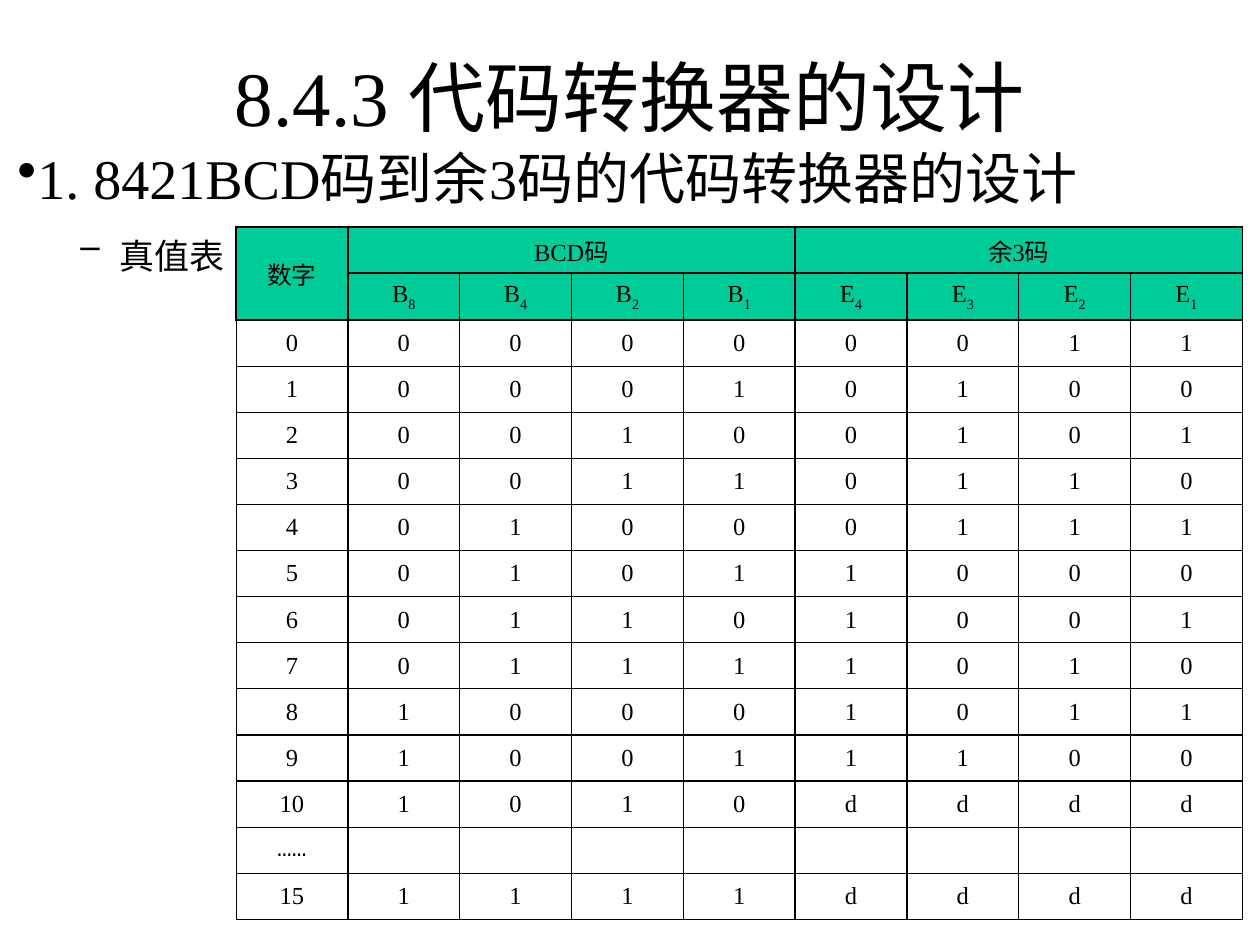
from dataclasses import dataclass

from lxml import etree
from pptx import Presentation
from pptx import util as u
from pptx.dml.color import RGBColor
from pptx.enum import text
from pptx.oxml.ns import qn

Pt = u.Pt


@dataclass
class Theme:
    ink: RGBColor = RGBColor(0, 0, 0)
    header: RGBColor = RGBColor(0x00, 0xCC, 0x99)
    font: str = "Times New Roman"
    dots_font: str = "Courier New"
    title: int = 44
    topic: int = 32
    item: int = 20
    item_gap: int = 28
    cell: int = 14
    thin: float = 0.75
    thick: float = 1


theme = Theme()


def add_run(p, words, size, font=theme.font):
    r = p.add_run()
    r.text = words
    r.font.size, r.font.name = Pt(size), font
    r.font.color.rgb = theme.ink
    return r


def set_border(cell, side, width):
    ln = etree.SubElement(cell._tc.get_or_add_tcPr(), qn(f"a:ln{side}"), w=str(Pt(width)))
    fill = etree.SubElement(ln, qn("a:solidFill"))
    etree.SubElement(fill, qn("a:srgbClr"), val=str(theme.ink))


prs = Presentation()
prs.slide_width, prs.slide_height = Pt(720), Pt(540)
s = prs.slides.add_slide(prs.slide_layouts[6])

# Title
tf = s.shapes.add_textbox(Pt(54), Pt(42.5), Pt(612), Pt(24)).text_frame
tf.word_wrap = True
tf.vertical_anchor = text.MSO_ANCHOR.MIDDLE
p = tf.paragraphs[0]
p.alignment = text.PP_ALIGN.CENTER
add_run(p, "8.4.3 代码转换器的设计", theme.title)

# Topic and its sub-item
tf = s.shapes.add_textbox(Pt(2.9), Pt(78.5), Pt(683), Pt(425.5)).text_frame
tf.word_wrap = True
topic, item = tf.paragraphs[0], tf.add_paragraph()
add_run(topic, "1. 8421BCD码到余3码的代码转换器的设计", theme.topic)
add_run(item, "真值表", theme.item)
add_run(item, " ", theme.item_gap)
item.level = 1
for p, bullet, margin, indent, before in ((topic, "•", 0, 0, 6.4), (item, "–", 58.5, -22.5, 5.6)):
    p.space_before = Pt(before)
    pPr = p._p.get_or_add_pPr()
    pPr.set("marL", str(Pt(margin)))
    pPr.set("indent", str(Pt(indent)))
    etree.SubElement(pPr, qn("a:buChar"), char=bullet)

# Truth table values: excess-3 is the BCD digit plus three
rows = [["数字", "BCD码", "", "", "", "余3码", "", "", ""],
        ["", "B8", "B4", "B2", "B1", "E4", "E3", "E2", "E1"]]
rows += [[str(n), *f"{n:04b}", *f"{n + 3:04b}"] for n in range(10)]
rows += [["10", *"1010", *"dddd"], ["……"] + [""] * 8, ["15", *"1111", *"dddd"]]

# Table grid
row_h, col_w = 26.35, 63.9
table = s.shapes.add_table(len(rows), 9, Pt(134.9), Pt(129.6),
                           Pt(9 * col_w), Pt(len(rows) * row_h)).table
table.first_row = table.horz_banding = False
for row in table.rows:
    row.height = Pt(row_h)
for col in table.columns:
    col.width = Pt(col_w)
for first, last in (((0, 0), (1, 0)), ((0, 1), (0, 4)), ((0, 5), (0, 8))):
    table.cell(*first).merge(table.cell(*last))

# Cells: thick lines frame the header and part the column groups
thick_rows = {0, 1, 2, len(rows)}
for i, values in enumerate(rows):
    thick_cols = {0, 1, 2, 4, 5} if i < 2 else {1, 5}
    for j, value in enumerate(values):
        cell = table.cell(i, j)
        cell.vertical_anchor = text.MSO_ANCHOR.MIDDLE
        p = cell.text_frame.paragraphs[0]
        p.alignment = text.PP_ALIGN.CENTER
        if not value:
            etree.SubElement(p._p, qn("a:endParaRPr"), sz=str(theme.cell * 100))
        elif i == 1:
            add_run(p, value[0], theme.cell)
            add_run(p, value[1], theme.cell).font._element.set("baseline", "-30000")
        else:
            add_run(p, value, theme.cell, theme.dots_font if value == "……" else theme.font)

        if not cell.is_spanned:
            right = j + (cell.span_width if cell.is_merge_origin else 1)
            bottom = i + (cell.span_height if cell.is_merge_origin else 1)
            for side, line, thick in (("L", j, thick_cols), ("R", right, thick_cols),
                                      ("T", i, thick_rows), ("B", bottom, thick_rows)):
                set_border(cell, side, theme.thick if line in thick else theme.thin)
        if i < 2:
            cell.fill.solid()
            cell.fill.fore_color.rgb = theme.header
        else:
            cell.fill.background()

prs.save("out.pptx")
